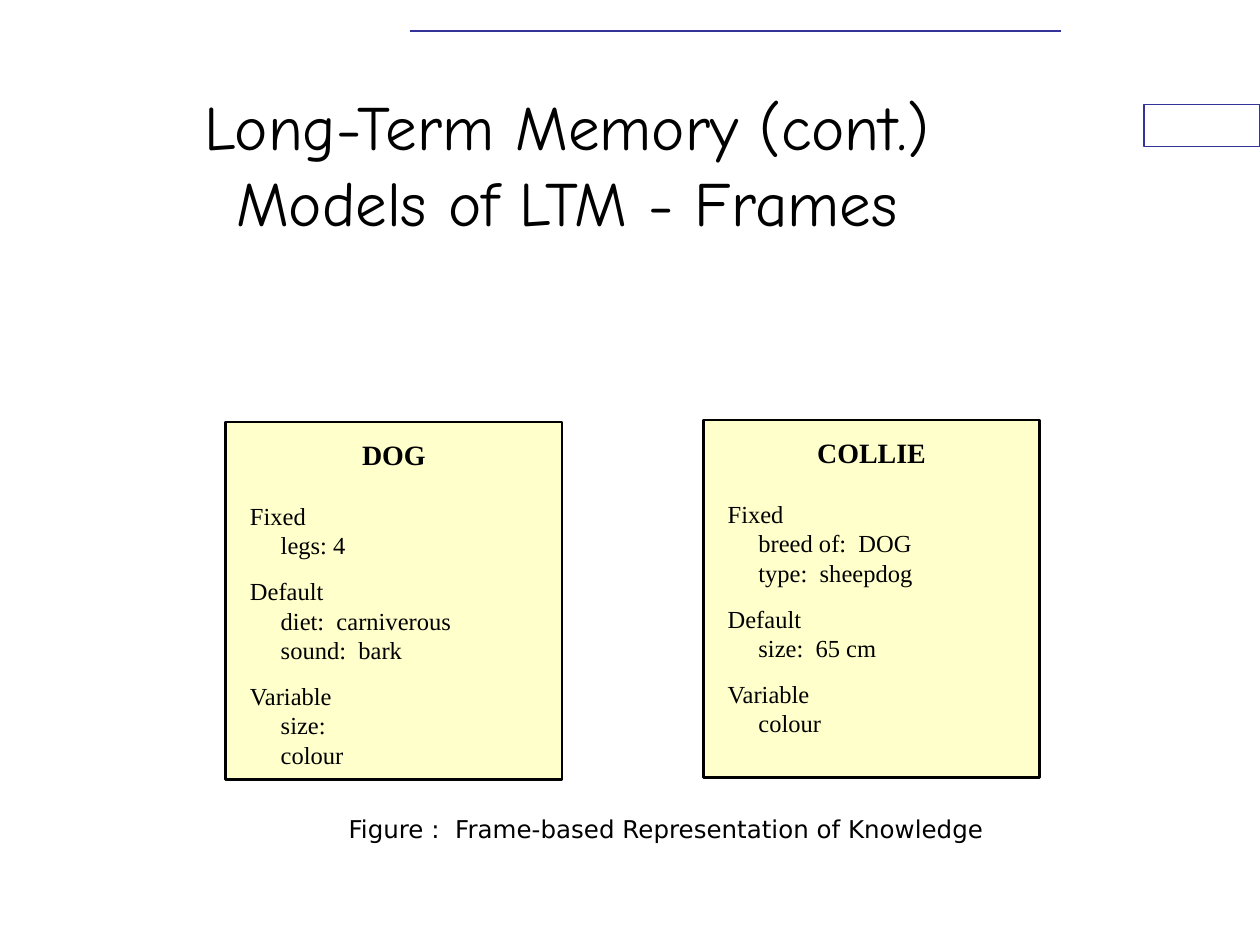
from lxml.etree import SubElement
from pptx import Presentation
from pptx.dml.color import RGBColor
from pptx.enum.shapes import MSO_CONNECTOR, MSO_SHAPE
from pptx.enum.text import MSO_ANCHOR, PP_ALIGN
from pptx.oxml.ns import qn
from pptx.util import Cm, Pt

HUES = {"ink": "000000", "navy": "333399", "cream": "FFFFCC", "white": "FFFFFF"}


def hue(name):
    return RGBColor.from_string(HUES[name])


def write(frame, text, font="Times New Roman", size=14, bold=False,
          align=PP_ALIGN.LEFT, gap=0, left=0, first=False):
    para = frame.paragraphs[0] if first else frame.add_paragraph()
    para.text = text
    para.alignment = align
    para.space_before = Pt(gap)
    para._p.get_or_add_pPr().set("marL", str(Cm(left)))
    para.font.name = font
    para.font.size = Pt(size)
    para.font.bold = bold
    para.font.color.rgb = hue("ink")


deck = Presentation()
deck.slide_width, deck.slide_height = Cm(25.4), Cm(19.05)
slide = deck.slides.add_slide(deck.slide_layouts[5])
shapes = slide.shapes

title = shapes.title
title.left, title.top, title.width, title.height = Cm(1.9), Cm(1.7), Cm(19.05), Cm(3.18)
title.text_frame.vertical_anchor = MSO_ANCHOR.MIDDLE
write(title.text_frame, "Long-Term Memory (cont.)\vModels of LTM - Frames",
      font="Comic Neue", size=36, align=PP_ALIGN.CENTER, first=True)

tab = shapes.add_shape(MSO_SHAPE.RECTANGLE, Cm(23.06), Cm(2.11), Cm(2.34), Cm(0.85))
tab.shadow.inherit = False
tab.fill.solid()
tab.fill.fore_color.rgb = hue("white")
tab.line.color.rgb = hue("navy")
tab.line.width = Pt(0.75)

rule = shapes.add_connector(MSO_CONNECTOR.STRAIGHT, Cm(8.26), Cm(0.63), Cm(21.38), Cm(0.63))
rule.line.color.rgb = hue("navy")
rule.line.width = Pt(1)
SubElement(rule._element.spPr, qn("a:effectLst"))

cards = [
    ("DOG", 4.55, 8.51, [
        ("Fixed", ["legs: 4"]),
        ("Default", ["diet:  carniverous", "sound:  bark"]),
        ("Variable", ["size:", "colour"]),
    ]),
    ("COLLIE", 14.18, 8.47, [
        ("Fixed", ["breed of:  DOG", "type:  sheepdog"]),
        ("Default", ["size:  65 cm"]),
        ("Variable", ["colour"]),
    ]),
]
for name, x, y, parts in cards:
    card = shapes.add_shape(MSO_SHAPE.RECTANGLE, Cm(x), Cm(y), Cm(6.78), Cm(7.2))
    card.shadow.inherit = False
    card.fill.solid()
    card.fill.fore_color.rgb = hue("cream")
    card.line.color.rgb = hue("ink")
    card.line.width = Pt(1.5)
    frame = card.text_frame
    frame.word_wrap = True
    frame.vertical_anchor = MSO_ANCHOR.TOP
    frame.margin_top = Cm(0.32)
    write(frame, name, size=16, bold=True, align=PP_ALIGN.CENTER, first=True)
    for i, (head, slots) in enumerate(parts):
        write(frame, head, gap=9.4 if i else 16.8, left=0.24)
        for slot in slots:
            write(frame, slot, left=0.86)

note = shapes.add_textbox(Cm(6.78), Cm(16.28), Cm(15.44), Cm(0.86))
note.text_frame.word_wrap = True
write(note.text_frame, "Figure :  Frame-based Representation of Knowledge",
      font="DejaVu Sans", first=True)

deck.save("out.pptx")
